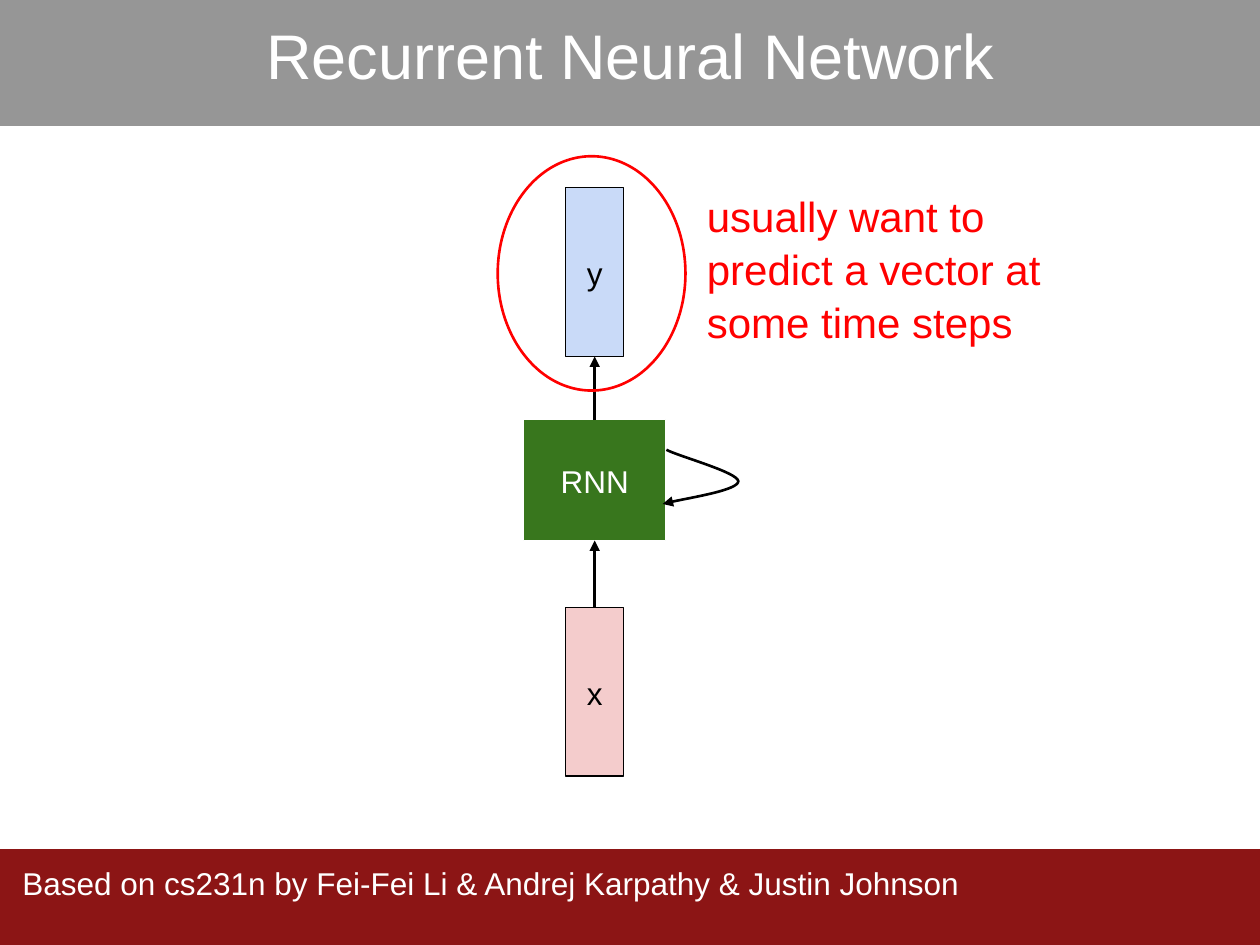
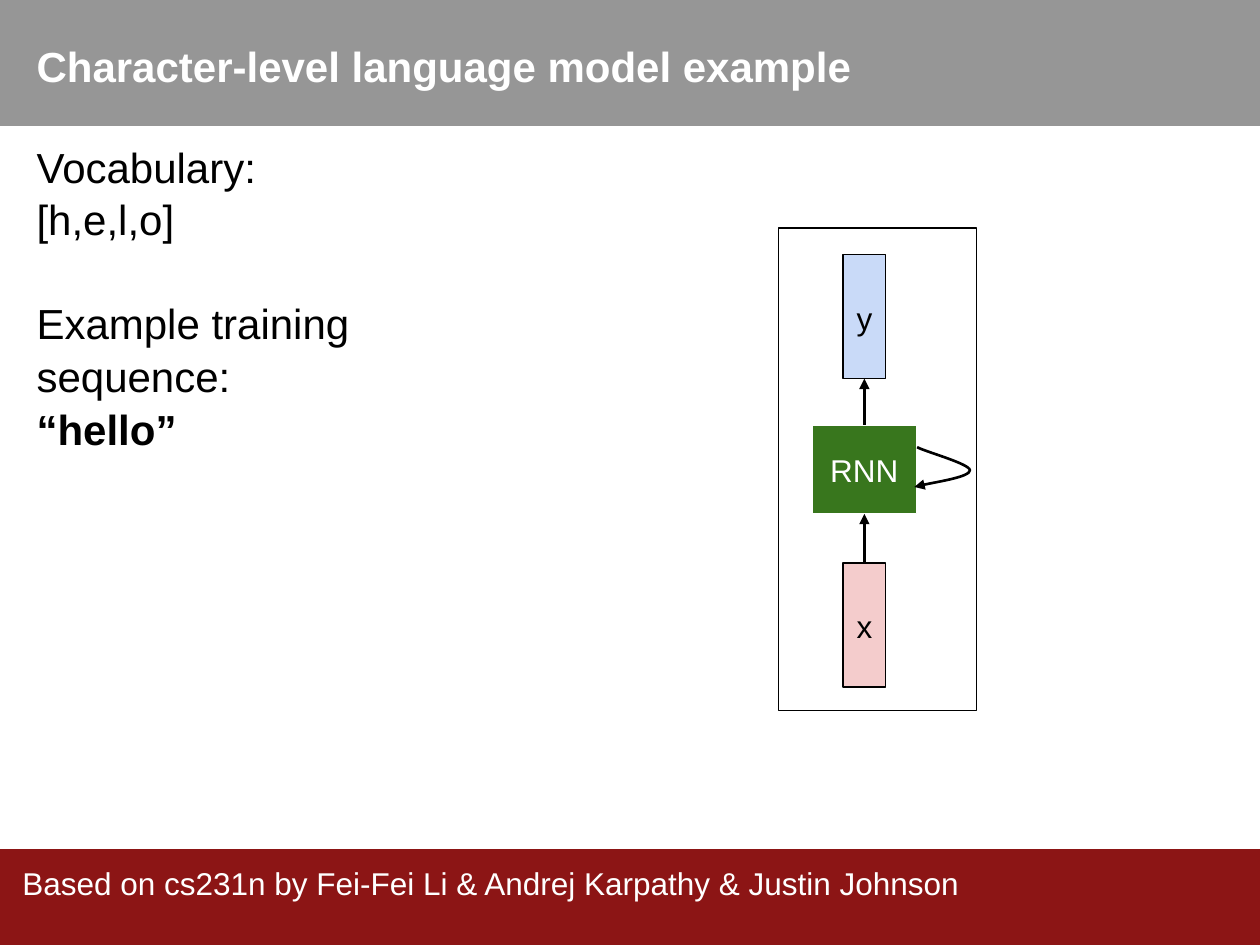
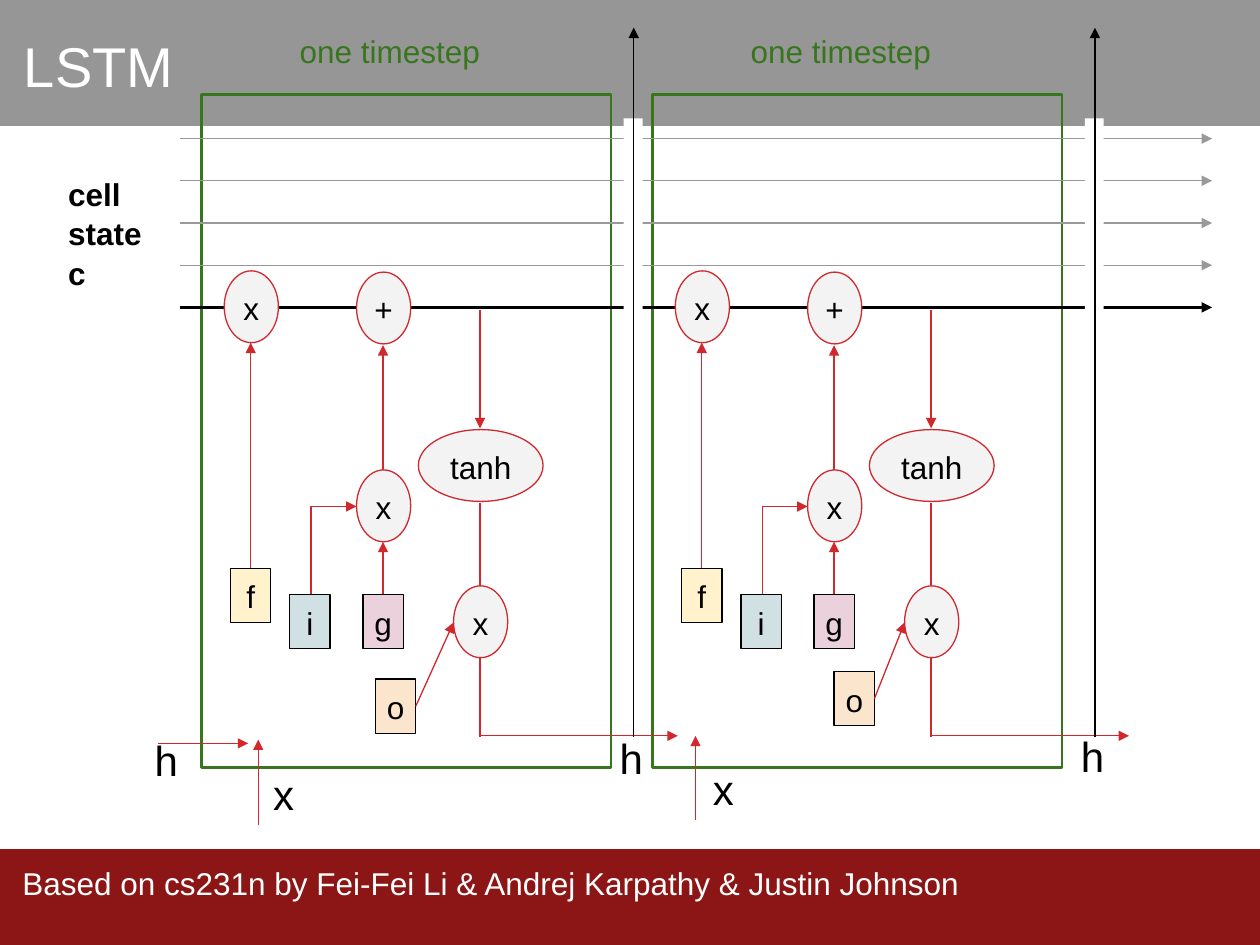
from pptx import Presentation
from pptx.dml.color import RGBColor
from pptx.enum.shapes import MSO_CONNECTOR, MSO_SHAPE
from pptx.enum.text import MSO_ANCHOR, MSO_AUTO_SIZE, PP_ALIGN
from pptx.oxml.ns import qn
from pptx.util import Inches, Pt
from lxml import etree

RECT, OVAL = MSO_SHAPE.RECTANGLE, MSO_SHAPE.OVAL
STRAIGHT, ELBOW = MSO_CONNECTOR.STRAIGHT, MSO_CONNECTOR.ELBOW
TOP, MIDDLE = MSO_ANCHOR.TOP, MSO_ANCHOR.MIDDLE
LEFT, CENTER = PP_ALIGN.LEFT, PP_ALIGN.CENTER
NO_FIT = MSO_AUTO_SIZE.NONE

BLACK = RGBColor(0, 0, 0)
WHITE = RGBColor(255, 255, 255)
GRAY = RGBColor(0x96, 0x96, 0x96)
RULE = RGBColor(0x99, 0x99, 0x99)
MAROON = RGBColor(0x8C, 0x15, 0x15)
GREEN = RGBColor(0x38, 0x76, 0x1D)
RED = RGBColor(255, 0, 0)
CRIMSON = RGBColor(0xD1, 0x28, 0x2E)
PINK = RGBColor(0xF4, 0xCC, 0xCC)
BLUE = RGBColor(0xC9, 0xDA, 0xF8)
PALE = RGBColor(0xF3, 0xF3, 0xF3)
CREAM = RGBColor(0xFF, 0xF2, 0xCC)
TEAL = RGBColor(0xD0, 0xE0, 0xE3)
MAUVE = RGBColor(0xEA, 0xD1, 0xDC)
PEACH = RGBColor(0xFC, 0xE5, 0xCD)

# Content
FONT = "Arial"
CREDIT = "Based on cs231n by Fei-Fei Li & Andrej Karpathy & Justin Johnson"
WISH = ["usually want to predict a vector at some time steps"]
SAMPLE = ["Vocabulary:", "[h,e,l,o]", "Example training", "sequence:", "“hello”"]
STATE = ["cell", "state c"]

# One LSTM step: label, left, top, fill
GATES = [("f", 1.83, 4.51, CREAM), ("i", 2.3, 4.72, TEAL), ("g", 2.88, 4.72, MAUVE)]
NODES = [("x", 1.78, 2.15, 0.43), ("x", 2.83, 3.73, 0.43), ("+", 2.83, 2.16, 0.43),
         ("tanh", 3.32, 3.41, 0.99), ("x", 3.6, 4.65, 0.43)]
FLOWS = [(1.99, 4.51, 1.99, 2.72), (3.04, 4.72, 3.04, 4.3), (3.04, 3.73, 3.04, 2.74),
         (3.81, 2.46, 3.81, 3.4), (3.8, 5.84, 5.38, 5.84)]
OUTS = [(2.98, 5.39), (3.04, 5.33)]
STEP = 3.58
GATE_W, GATE_H, NODE_H = 0.32, 0.43, 0.57
INPUTS = [(1.25, 5.9, 1.97, 5.9), (2.05, 6.55, 2.05, 5.87), (5.52, 6.51, 5.52, 5.84)]
MARKS = [("h", 4.82, 5.69), ("h", 8.48, 5.68), ("h", 1.13, 5.71),
         ("x", 2.07, 5.98), ("x", 5.56, 5.94)]


def write(shape, lines, size, color, align=LEFT, anchor=TOP, bold=False, wrap=True):
    frame = shape.text_frame
    frame.auto_size = NO_FIT
    frame.word_wrap = wrap
    frame.vertical_anchor = anchor
    frame.margin_left = frame.margin_right = Inches(0.1)
    frame.margin_top = frame.margin_bottom = Inches(0.1)
    frame.text = "\n".join(lines)
    for para in frame.paragraphs:
        props = para._p.get_or_add_pPr()
        props.set("marL", "0")
        props.set("indent", "0")
        etree.SubElement(props, qn("a:buNone"))
        para.alignment = align
        para.line_spacing = 1.05
        para.space_before = para.space_after = Pt(0)
        para.font.name, para.font.size = FONT, Pt(size)
        para.font.color.rgb, para.font.bold = color, bold


def place(shape, *box):
    shape.left, shape.top, shape.width, shape.height = map(Inches, box)
    return shape


def paint(shape, fill, line, width):
    shape.shadow.inherit = False
    if fill is None:
        shape.fill.background()
    else:
        shape.fill.solid()
        shape.fill.fore_color.rgb = fill
    if line is None:
        shape.line.fill.background()
    else:
        shape.line.color.rgb = line
        shape.line.width = Pt(width)


def block(slide, kind, box, fill=None, line=None, width=0.75, label=None, ink=BLACK):
    shape = slide.shapes.add_shape(kind, *map(Inches, box))
    paint(shape, fill, line, width)
    if label:
        write(shape, [label], 18, ink, CENTER, MIDDLE, wrap=False)
    return shape


def note(slide, text, box, size, color):
    shape = slide.shapes.add_textbox(*map(Inches, box))
    write(shape, [text], size, color)
    return shape


def point(shape, end="a:tailEnd"):
    etree.SubElement(shape.line._get_or_add_ln(), qn(end), type="triangle")


def link(slide, ends, color, width=0.75, kind=STRAIGHT, end="a:tailEnd"):
    line = slide.shapes.add_connector(kind, *map(Inches, ends))
    line.line.color.rgb = color
    line.line.width = Pt(width)
    if end:
        point(line, end)
    etree.SubElement(line._element.spPr, qn("a:effectLst"))
    return line


def loop(slide, dots):
    """Curve through two Bezier arcs, ending in an arrowhead."""
    dots = [(Inches(x), Inches(y)) for x, y in dots]
    pen = slide.shapes.build_freeform(*dots[0])
    pen.add_line_segments(dots[1:], close=False)
    curve = pen.convert_to_shape()
    paint(curve, None, BLACK, 1.5)
    point(curve)
    track = curve._element.find(".//" + qn("a:path"))
    legs = track.findall(qn("a:lnTo"))
    for k in (0, 3):
        arc = etree.SubElement(track, qn("a:cubicBezTo"))
        for leg in legs[k:k + 3]:
            arc.append(leg[0])
            track.remove(leg)


def rnn(slide, mid, top, scale):
    """Input, recurrent cell and output, stacked around one axis."""
    def box(y, w, h):
        return mid - w * scale / 2, top + y * scale, w * scale, h * scale

    block(slide, RECT, box(3.33, 0.46, 1.34), PINK, BLACK, label="x")
    block(slide, RECT, box(1.84, 1.13, 0.96), GREEN, WHITE, label="RNN", ink=WHITE)
    block(slide, RECT, box(0, 0.46, 1.34), BLUE, BLACK, label="y")
    for start, stop in ((1.84, 1.34), (3.33, 2.8)):
        link(slide, (mid, top + start * scale, mid, top + stop * scale), BLACK, 1.5)
    bend = [(0.57, 2.08), (0.66, 2.13), (1.14, 2.26), (1.14, 2.33),
            (1.14, 2.4), (0.64, 2.48), (0.54, 2.51)]
    loop(slide, [(mid + x * scale, top + y * scale) for x, y in bend])


def cell(slide, shift, out):
    """One LSTM timestep, moved right by shift."""
    def move(x, y, x2, y2):
        return x + shift, y, x2 + shift, y2

    for ends in FLOWS:
        link(slide, move(*ends), CRIMSON)
    link(slide, move(3.81, 3.99, 3.81, 5.85), CRIMSON, end=None)
    bend = link(slide, move(2.83, 4.02, 2.47, 4.72), CRIMSON, kind=ELBOW, end="a:headEnd")
    bend._element.spPr.find(qn("a:prstGeom")).set("prst", "bentConnector2")
    for label, x, y, fill in GATES + [("o", *out, PEACH)]:
        block(slide, RECT, (x + shift, y, GATE_W, GATE_H), fill, BLACK, label=label)
    for label, x, y, wide in NODES:
        block(slide, OVAL, (x + shift, y, wide, NODE_H), PALE, CRIMSON, label=label)
    x, y = out
    link(slide, move(x + GATE_W, y + GATE_H / 2, 3.6, 4.94), CRIMSON)
    note(slide, "one timestep", (2.28 + shift, 0.14, 1.8, 0.42), 18, GREEN)


def bands(slide, layout):
    """Move the header and footer bands into the shared layout."""
    for shape in list(layout.placeholders):
        if shape.placeholder_format.idx > 1:
            layout.shapes.element.remove(shape.element)
    for part in (block(slide, RECT, (0, 0, 10, 1), GRAY),
                 block(slide, RECT, (0, 6.74, 10, 0.77), MAROON),
                 note(slide, CREDIT, (0.08, 6.74, 9.92, 0.79), 18, WHITE)):
        layout.shapes.element.append(part.element)


def main():
    deck = Presentation()
    deck.slide_width, deck.slide_height = Inches(10), Inches(7.5)
    layout = deck.slide_layouts[1]
    first, second, third = [deck.slides.add_slide(layout) for _ in range(3)]
    bands(first, layout)

    # Recurrent network
    write(place(first.shapes.title, 1.02, 0, 7.97, 0.79),
          ["Recurrent Neural Network"], 36, WHITE, CENTER)
    write(place(first.placeholders[1], 5.51, 1.39, 3.12, 1.4), WISH, 24, RED)
    rnn(first, 4.72, 1.49, 1)
    block(first, OVAL, (3.95, 1.24, 1.49, 1.86), None, RED, 1.5)

    # Character model
    write(place(second.shapes.title, 0.19, 0.2, 9.03, 0.8),
          ["Character-level language model example"], 24, WHITE, bold=True)
    body = place(second.placeholders[1], 0.19, 1, 9.03, 3.7)
    write(body, SAMPLE, 24, BLACK)
    paras = body.text_frame.paragraphs
    paras[2].space_before = Pt(29)
    paras[-1].font.bold = True
    rnn(second, 6.86, 2.02, 0.735)
    block(second, RECT, (6.18, 1.81, 1.57, 3.83), None, BLACK)

    # LSTM
    write(place(third.shapes.title, 0.09, 0.12, 1.45, 0.71), ["LSTM"], 32, WHITE)
    write(place(third.placeholders[1], 0.44, 1.27, 0.98, 1.1), STATE, 18, BLACK, bold=True)
    for k in range(2):
        block(third, RECT, (1.6 + k * STEP, 0.75, 3.25, 5.34), None, GREEN, 1.5)
    for k in range(5):
        y = 1.1 + k * 1.34 / 4
        color, width = (BLACK, 1.5) if k == 4 else (RULE, 0.75)
        link(third, (1.43, y, 9.62, y), color, width)
    for k, out in enumerate(OUTS):
        cell(third, k * STEP, out)
    for ends in INPUTS:
        link(third, ends, CRIMSON)
    for mark, x, y in MARKS:
        note(third, mark, (x, y, 0.4, 0.46), 24, BLACK)
    for x in (5.03, 8.69):
        block(third, RECT, (x - 0.08, 0.94, 0.15, 1.61), WHITE)
        link(third, (x, 5.85, x, 0.22), BLACK)

    deck.save("out.pptx")


if __name__ == "__main__":
    main()
